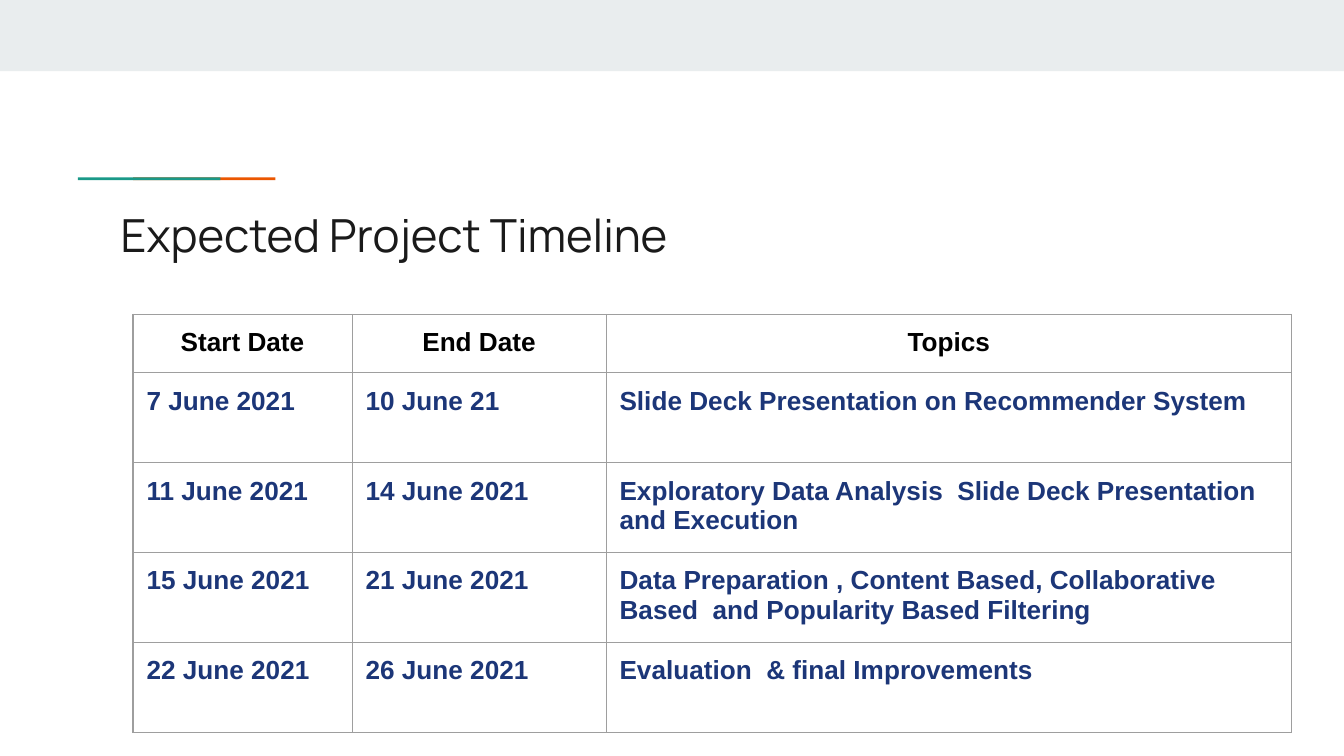
from dataclasses import dataclass

from lxml.etree import SubElement
from pptx import Presentation
from pptx.dml.color import RGBColor
from pptx.enum.shapes import MSO_SHAPE
from pptx.enum.text import MSO_ANCHOR, PP_ALIGN
from pptx.oxml.ns import qn
from pptx.slide import Slide
from pptx.table import _Cell
from pptx.text.text import TextFrame
from pptx.util import Inches, Pt

WIDTH = 10
HEIGHT = WIDTH * 9 / 16


@dataclass(frozen=True)
class Theme:
    band: str = "E9EDEE"
    orange: str = "EB5600"
    teal: str = "1A9988"
    title: str = "1A1A1A"
    header: str = "000000"
    body: str = "1C3678"
    border: str = "9E9E9E"
    title_font: str = "Manrope"
    table_font: str = "Arial"
    title_size: float = 24.4
    table_size: float = 14
    border_width: float = 0.75
    inset: float = 0.1


@dataclass(frozen=True)
class Bar:
    left: float
    top: float
    width: float
    height: float
    color: str


@dataclass(frozen=True)
class Stage:
    start: str
    end: str
    topics: str


THEME = Theme()

BARS = (
    Bar(0, 0, 1, 0.53 / HEIGHT, THEME.band),
    Bar(0.099, 1.32 / HEIGHT, 0.106, 0.02 / HEIGHT, THEME.orange),
    Bar(0.058, 1.32 / HEIGHT, 0.106, 0.02 / HEIGHT, THEME.teal),
)

FRAME_SIDE = 3.28
COLUMNS = (1.63, 1.89, 5.1)
ROWS = (0.43, 0.67, 0.43, 0.61, 0.67)
STAGES = (
    Stage("Start Date", "End Date", "Topics"),
    Stage("7 June 2021", "10 June 21", "Slide Deck Presentation on Recommender System"),
    Stage("11 June 2021", "14 June 2021",
          "Exploratory Data Analysis  Slide Deck Presentation and Execution"),
    Stage("15 June 2021", "21 June 2021",
          "Data Preparation , Content Based, Collaborative Based  and Popularity Based Filtering"),
    Stage("22 June 2021", "26 June 2021", "Evaluation  & final Improvements"),
)


def write(frame: TextFrame, text: str, *, font: str, size: float, color: str,
          bold: bool = False, align: PP_ALIGN = PP_ALIGN.LEFT) -> None:
    para = frame.paragraphs[0]
    para.alignment = align
    span = para.add_run()
    span.text = text
    span.font.name = font
    span.font.size = Pt(size)
    span.font.bold = bold
    span.font.color.rgb = RGBColor.from_string(color)


def draw_bar(page: Slide, bar: Bar) -> None:
    shape = page.shapes.add_shape(
        MSO_SHAPE.RECTANGLE,
        Inches(bar.left * WIDTH), Inches(bar.top * HEIGHT),
        Inches(bar.width * WIDTH), Inches(bar.height * HEIGHT))
    shape.shadow.inherit = False
    shape.fill.solid()
    shape.fill.fore_color.rgb = RGBColor.from_string(bar.color)
    shape.line.fill.background()


def draw_title(page: Slide, text: str) -> None:
    box = page.shapes.add_textbox(Inches(0.8), Inches(1.44), Inches(8.41), Inches(0.59))
    frame = box.text_frame
    frame.word_wrap = True
    frame.vertical_anchor = MSO_ANCHOR.TOP
    frame.margin_left = frame.margin_right = Inches(THEME.inset)
    frame.margin_top = frame.margin_bottom = Inches(THEME.inset)
    write(frame, text, font=THEME.title_font, size=THEME.title_size, color=THEME.title)


def style_cell(cell: _Cell) -> None:
    cell.margin_left = cell.margin_right = Inches(THEME.inset)
    cell.margin_top = cell.margin_bottom = Inches(THEME.inset)
    properties = cell._tc.get_or_add_tcPr()
    for side in ("L", "R", "T", "B"):
        line = SubElement(properties, qn(f"a:ln{side}"), w=str(Pt(THEME.border_width)))
        fill = SubElement(line, qn("a:solidFill"))
        SubElement(fill, qn("a:srgbClr"), val=THEME.border)
    cell.fill.background()


def draw_timeline(page: Slide, stages: tuple[Stage, ...]) -> None:
    holder = page.shapes.add_table(
        len(ROWS), len(COLUMNS), Inches(0.99), Inches(2.34),
        Inches(FRAME_SIDE), Inches(FRAME_SIDE))
    table = holder.table
    table.first_row = table.horz_banding = False
    for column, width in zip(table.columns, COLUMNS):
        column.width = Inches(width)
    for index, (row, height, stage) in enumerate(zip(table.rows, ROWS, stages)):
        row.height = Inches(height)
        is_header = index == 0
        for cell, text in zip(row.cells, (stage.start, stage.end, stage.topics)):
            style_cell(cell)
            write(cell.text_frame, text, font=THEME.table_font, size=THEME.table_size,
                  color=THEME.header if is_header else THEME.body, bold=True,
                  align=PP_ALIGN.CENTER if is_header else PP_ALIGN.LEFT)
    holder.width = holder.height = Inches(FRAME_SIDE)


def main() -> None:
    deck = Presentation()
    deck.slide_width, deck.slide_height = Inches(WIDTH), Inches(HEIGHT)
    page = deck.slides.add_slide(deck.slide_layouts[6])
    for bar in BARS:
        draw_bar(page, bar)
    draw_title(page, "Expected Project Timeline")
    draw_timeline(page, STAGES)
    deck.save("out.pptx")


if __name__ == "__main__":
    main()
